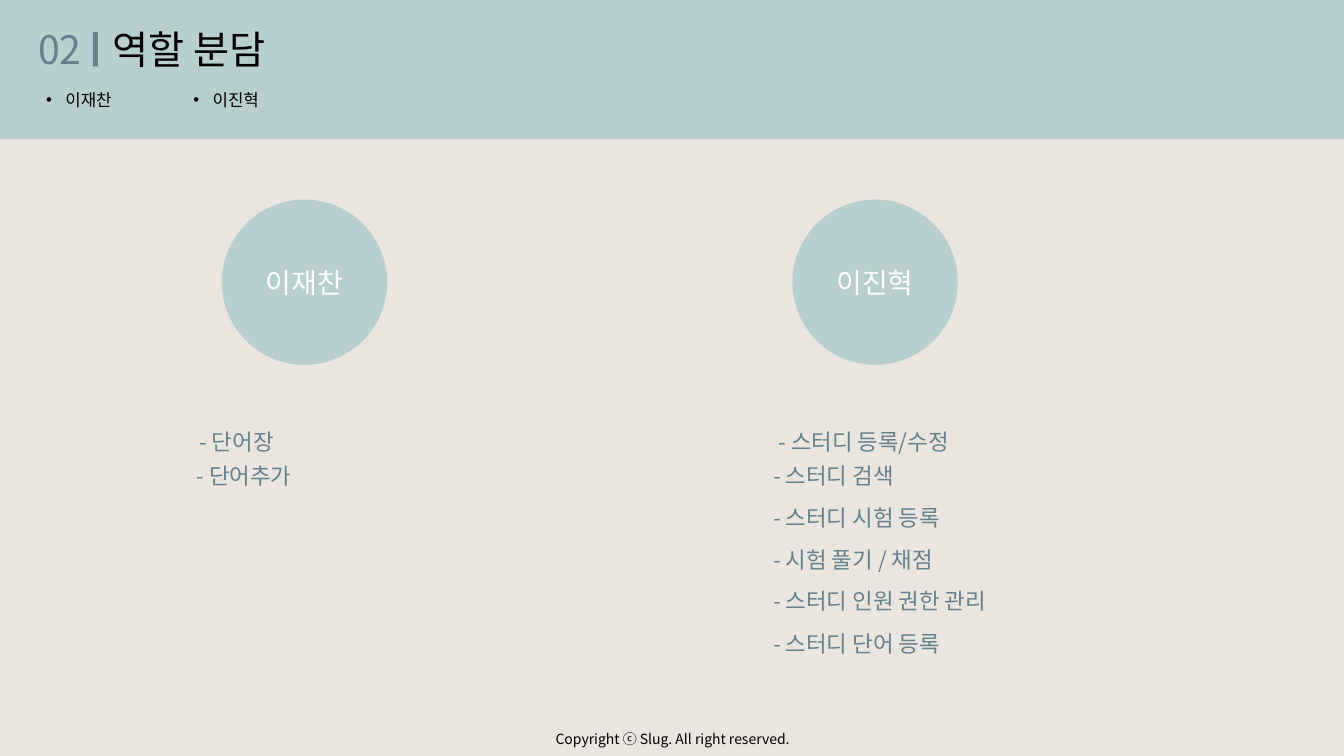
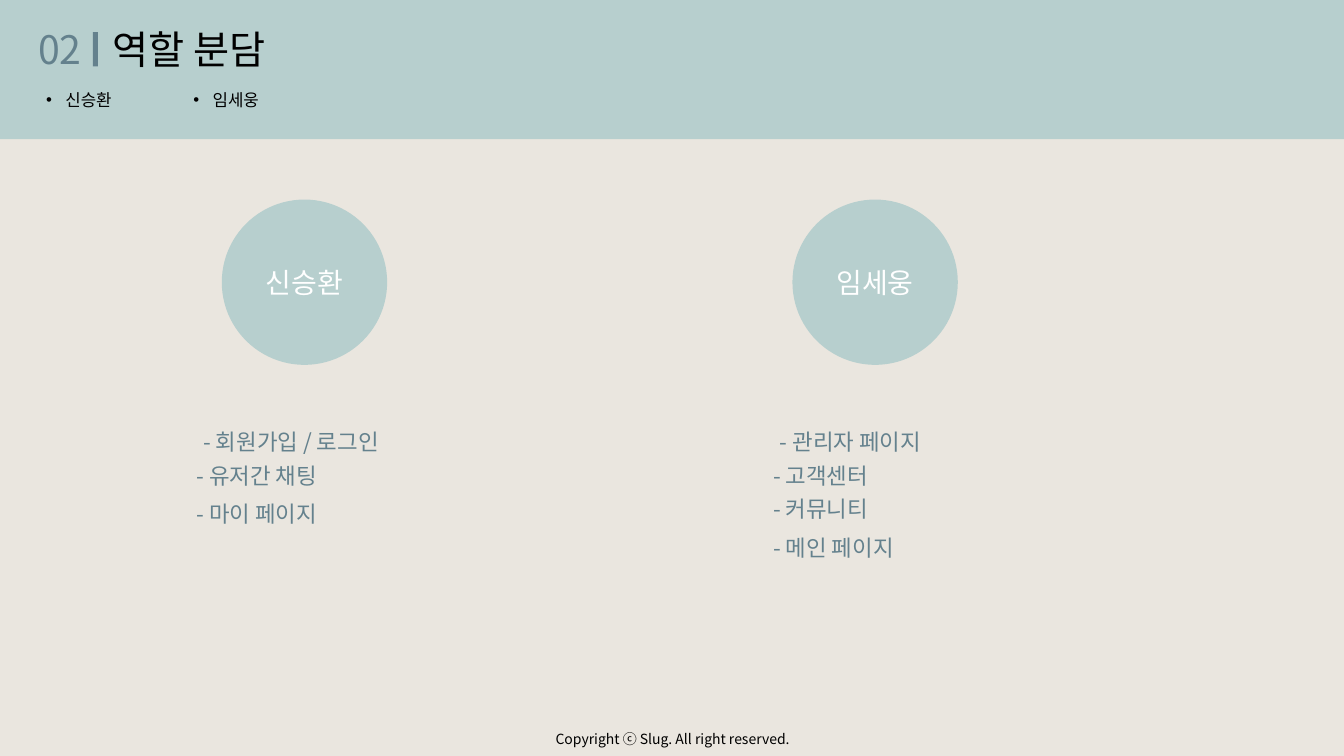
"""Build two role-assignment slides, each presenting two team members and their tasks."""
from pptx import Presentation
from pptx.dml.color import RGBColor
from pptx.enum.shapes import MSO_SHAPE as SHAPE
from pptx.enum.text import MSO_ANCHOR as ANCHOR, MSO_AUTO_SIZE as AUTO_SIZE, PP_ALIGN as ALIGN
from pptx.oxml.ns import qn
from pptx.util import Inches, Pt
from lxml.etree import SubElement

COLORS = {
    "background": "EAE6DF",
    "band": "B7CFCE",
    "accent": "64818D",
    "black": "000000",
    "white": "FFFFFF",
}
FONT = "Noto Sans CJK KR"
FORMATS = {
    "number": {"size": 28, "color": "accent", "align": ALIGN.LEFT},
    "title": {"size": 28, "color": "black", "align": ALIGN.LEFT},
    "member": {"size": 12, "color": "black", "align": ALIGN.LEFT, "bullet": "•"},
    "circle": {"size": 20, "color": "white", "align": ALIGN.CENTER},
    "first_task": {"size": 16, "color": "accent", "align": ALIGN.CENTER},
    "task": {"size": 16, "color": "accent", "align": ALIGN.LEFT},
    "footer": {"size": 10, "color": "black", "align": ALIGN.CENTER},
}
HEADER_TEXTS = [
    ("02", "number", (0.28, 0.2, 0.74, 0.57)),
    ("역할 분담", "title", (1.02, 0.2, 2.95, 0.57)),
    ("Copyright ⓒ Slug. All right reserved.", "footer", (4.94, 7.2, 3.46, 0.27)),
]
HEADER_BARS = [("band", (0, 0, 13.33, 1.38)), ("accent", (0.92, 0.32, 0.05, 0.34))]
MEMBER_LEFTS = [0.36, 1.82]
CIRCLE_LEFTS = [2.2, 7.86]
TASK_LEFTS = [1.85, 7.57]
FIRST_TASK_TOP, FIRST_TASK_WIDTH = 4.2, 2.29
TASK_WIDTH, TASK_HEIGHT = 4.39, 0.37

TEAMS = [
    [
        ("이재찬", 1.2, [("단어장", 4.2), ("단어추가", 4.54)]),
        ("이진혁", 7.42, [
            ("스터디 등록/수정", 4.2),
            ("스터디 검색", 4.54),
            ("스터디 시험 등록", 4.95),
            ("시험 풀기 / 채점", 5.37),
            ("스터디 인원 권한 관리", 5.78),
            ("스터디 단어 등록", 6.2),
        ]),
    ],
    [
        ("신승환", 1.74, [("회원가입 / 로그인", 4.2), ("유저간 채팅", 4.54), ("마이 페이지", 4.91)]),
        ("임세웅", 7.29, [
            ("관리자 페이지", 4.2),
            ("고객센터", 4.54),
            ("커뮤니티", 4.86),
            ("메인 페이지", 5.25),
        ]),
    ],
]


def write(slide, text, style, box, holder=None):
    look = FORMATS[style]
    if holder is None:
        holder = slide.shapes.add_textbox(*map(Inches, box))
        holder.text_frame.auto_size = AUTO_SIZE.SHAPE_TO_FIT_TEXT
    frame = holder.text_frame
    frame.word_wrap = True
    paragraph = frame.paragraphs[0]
    paragraph.alignment = look["align"]
    if "bullet" in look:
        properties = paragraph._p.get_or_add_pPr()
        properties.set("marL", str(Inches(0.19)))
        properties.set("indent", str(-Inches(0.19)))
        SubElement(properties, qn("a:buFont"), typeface="Arial")
        SubElement(properties, qn("a:buChar"), char=look["bullet"])
    run = paragraph.add_run()
    run.text = text
    for attribute, value in {"name": FONT, "size": Pt(look["size"])}.items():
        setattr(run.font, attribute, value)
    run.font.color.rgb = RGBColor.from_string(COLORS[look["color"]])
    SubElement(run._r.get_or_add_rPr(), qn("a:ea"), typeface=FONT)


def draw(slide, outline, color, box):
    shape = slide.shapes.add_shape(outline, *map(Inches, box))
    shape.shadow.inherit = False
    shape.fill.solid()
    shape.fill.fore_color.rgb = RGBColor.from_string(COLORS[color])
    shape.line.fill.background()
    return shape


deck = Presentation()
deck.slide_width, deck.slide_height = Inches(13.33), Inches(7.5)

for team in TEAMS:
    slide = deck.slides.add_slide(deck.slide_layouts[6])
    slide.background.fill.solid()
    slide.background.fill.fore_color.rgb = RGBColor.from_string(COLORS["background"])
    for color, box in HEADER_BARS:
        draw(slide, SHAPE.RECTANGLE, color, box)
    for text, style, box in HEADER_TEXTS:
        write(slide, text, style, box)

    columns = zip(team, MEMBER_LEFTS, CIRCLE_LEFTS, TASK_LEFTS)
    for (member, first_left, tasks), member_left, circle_left, task_left in columns:
        write(slide, member, "member", (member_left, 0.84, 1.95, 0.29))
        circle_box = (circle_left, 1.98, 1.64, 1.64)
        circle = draw(slide, SHAPE.OVAL, "band", circle_box)
        circle.text_frame.vertical_anchor = ANCHOR.MIDDLE
        write(slide, member, "circle", circle_box, circle)
        for task, top in tasks:
            if top == FIRST_TASK_TOP:
                style, left, width = "first_task", first_left, FIRST_TASK_WIDTH
            else:
                style, left, width = "task", task_left, TASK_WIDTH
            write(slide, f"- {task}", style, (left, top, width, TASK_HEIGHT))

deck.save("out.pptx")
